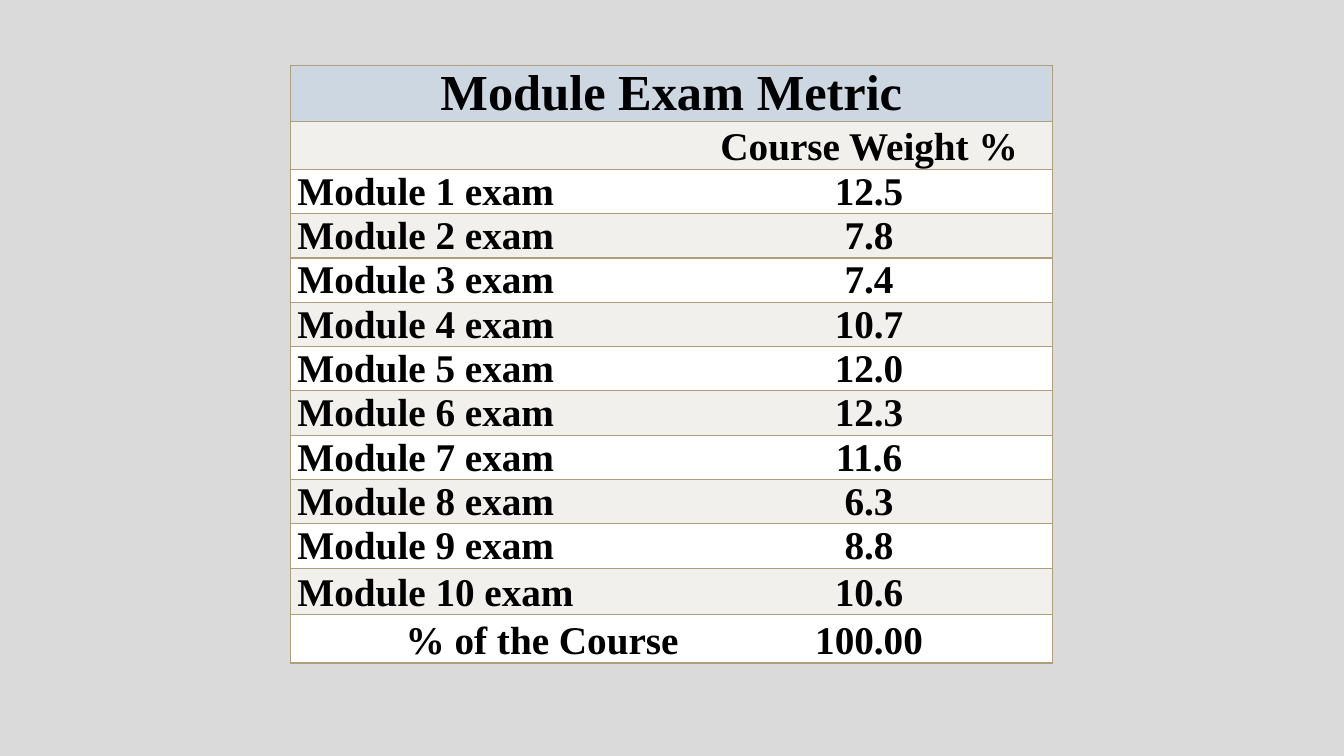
from lxml.etree import SubElement
from pptx import Presentation
from pptx.dml.color import RGBColor
from pptx.enum.text import MSO_VERTICAL_ANCHOR as Anchor, PP_PARAGRAPH_ALIGNMENT as Align
from pptx.oxml.ns import qn
from pptx.util import Inches, Pt

BACKGROUND = RGBColor(0xDA, 0xDA, 0xDA)
TITLE_FILL = RGBColor(0x99, 0xCC, 0xFF)
BAND = RGBColor(0xF2, 0xF0, 0xEC)
WHITE = RGBColor(0xFF, 0xFF, 0xFF)
BLACK = RGBColor(0x00, 0x00, 0x00)
BORDER = RGBColor(0xAE, 0x9E, 0x7C)

TITLE = "Module Exam Metric"
WEIGHTS = ["12.5", "7.8", "7.4", "10.7", "12.0", "12.3", "11.6", "6.3", "8.8", "10.6"]
EXAM_ROWS = [(f"Module {number} exam", weight) for number, weight in enumerate(WEIGHTS, 1)]
ROWS = [("", "Course Weight %"), *EXAM_ROWS, ("% of the Course", "100.00")]
COLUMN_WIDTHS = [3.92, 3.64]
ROW_HEIGHTS = [0.44] * 11 + [0.46, 0.48]


class MetricSlide:
    font_name = "Times New Roman"
    title_size = Pt(36)
    body_size = Pt(28)

    def __init__(self, presentation):
        self.slide = presentation.slides.add_slide(presentation.slide_layouts[6])
        fill = self.slide.background.fill
        fill.solid()
        fill.fore_color.rgb = BACKGROUND

    def add_table(self, left, top, widths, heights):
        frame = self.slide.shapes.add_table(
            len(heights), len(widths), Inches(left), Inches(top),
            Inches(sum(widths)), Inches(sum(heights)))
        table = frame.table
        table.first_row = False
        table.horz_banding = False
        for column, width in zip(table.columns, widths):
            column.width = Inches(width)
        for row, height in zip(table.rows, heights):
            row.height = Inches(height)
        return table

    def set_borders(self, cell, visible):
        """Draw the sides named in visible (letters of LRTB) and clear the others."""
        properties = cell._tc.get_or_add_tcPr()
        for side in "LRTB":
            line = SubElement(properties, qn(f"a:ln{side}"), w=str(Pt(1)))
            if side in visible:
                solid = SubElement(line, qn("a:solidFill"))
                SubElement(solid, qn("a:srgbClr"), val=str(BORDER))
            else:
                SubElement(line, qn("a:noFill"))

    def fill_cell(self, cell, color, opacity=100):
        cell.fill.solid()
        cell.fill.fore_color.rgb = color
        if opacity < 100:
            color_element = cell._tc.tcPr.find(f"{qn('a:solidFill')}/{qn('a:srgbClr')}")
            SubElement(color_element, qn("a:alpha"), val=str(opacity * 1000))

    def set_text(self, cell, text, size, alignment):
        cell.vertical_anchor = Anchor.BOTTOM
        cell.margin_left = cell.margin_right = Inches(0.07)
        cell.margin_top = cell.margin_bottom = 0
        cell.text_frame.text = text
        paragraph = cell.text_frame.paragraphs[0]
        paragraph.alignment = alignment
        paragraph.font.size = size
        for run in paragraph.runs:
            run.font.name = self.font_name
            run.font.size = size
            run.font.bold = True
            run.font.color.rgb = BLACK

    def add_title_row(self, table, title):
        title_cell, spanned_cell = table.cell(0, 0), table.cell(0, 1)
        title_cell.merge(spanned_cell)
        for cell in (title_cell, spanned_cell):
            self.set_borders(cell, "LRTB")
            self.fill_cell(cell, TITLE_FILL, opacity=20)
        self.set_text(title_cell, title, self.title_size, Align.CENTER)

    def add_body_row(self, table, index, texts, label_alignment):
        color = BAND if index % 2 else WHITE
        styles = [("LTB", label_alignment), ("RTB", Align.CENTER)]
        for column, (text, (sides, alignment)) in enumerate(zip(texts, styles)):
            cell = table.cell(index, column)
            self.set_borders(cell, sides)
            self.fill_cell(cell, color)
            self.set_text(cell, text, self.body_size, alignment)


def main():
    presentation = Presentation()
    presentation.slide_width = Inches(13.33)
    presentation.slide_height = Inches(7.5)

    metric = MetricSlide(presentation)
    table = metric.add_table(2.88, 0.65, COLUMN_WIDTHS, ROW_HEIGHTS)
    metric.add_title_row(table, TITLE)
    for index, texts in enumerate(ROWS, 1):
        label_alignment = Align.RIGHT if index == len(ROWS) else Align.LEFT
        metric.add_body_row(table, index, texts, label_alignment)

    presentation.save("out.pptx")


if __name__ == "__main__":
    main()
